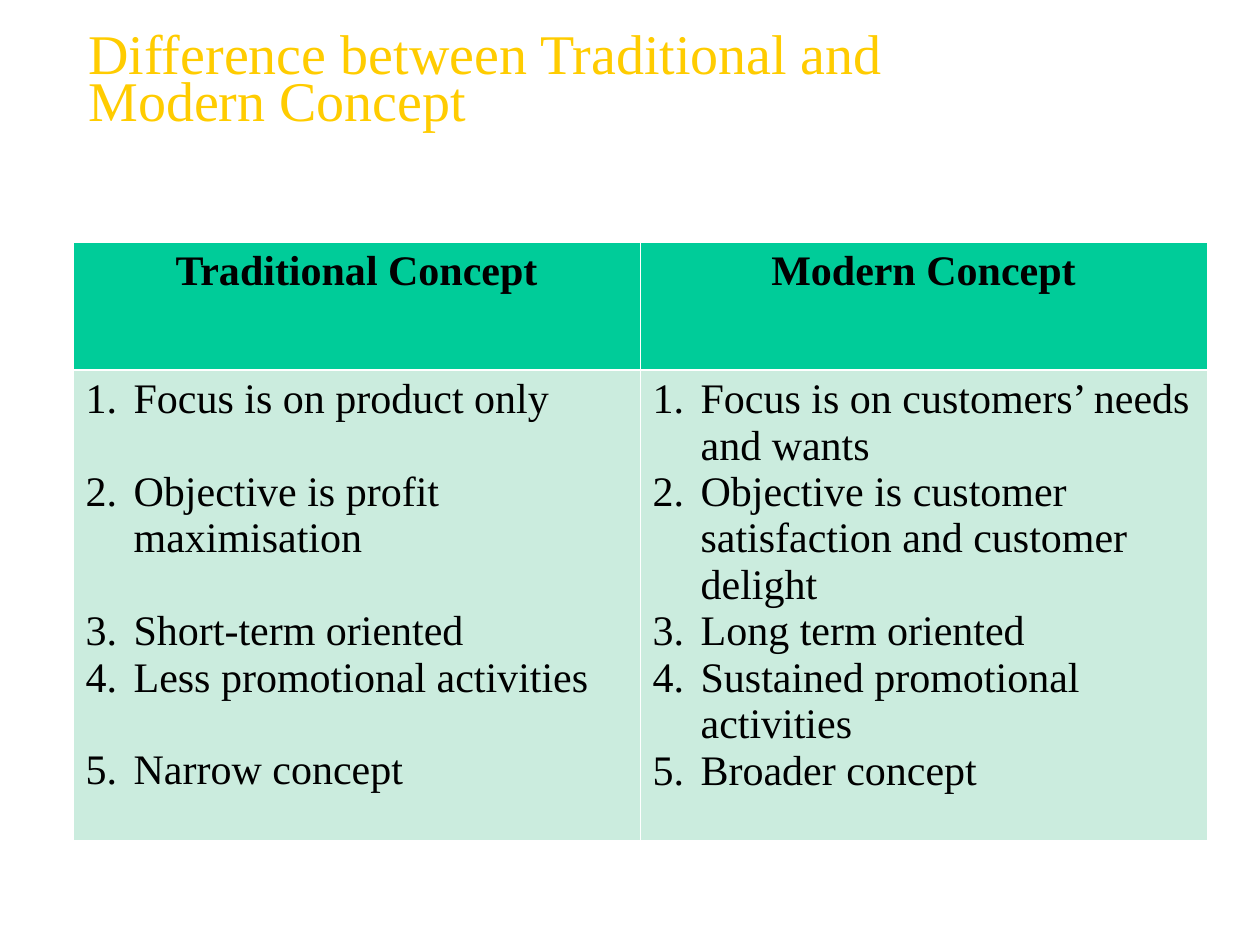
from dataclasses import dataclass

import pptx
import pptx.dml.color
import pptx.enum.text
import pptx.oxml
import pptx.oxml.ns
import pptx.util

EMU_PER_PX = 914400 / 126


@dataclass(frozen=True)
class Theme:
    font: str = "Times New Roman"
    title: str = "FFCC00"
    ink: str = "000000"
    header: str = "00CC99"
    body: str = "CBECDE"
    rule: str = "FFFFFF"
    title_size: int = 32
    table_size: int = 24
    skipped_line: float = 26.5
    thin: float = 0.45
    thick: float = 1.47


THEME = Theme()
CONCEPTS = {
    "Traditional Concept": [
        ("Focus is on product only", True),
        ("Objective is profit maximisation", True),
        ("Short-term oriented", False),
        ("Less promotional activities", True),
        ("Narrow concept", False),
    ],
    "Modern Concept": [
        ("Focus is on customers’ needs and wants", False),
        ("Objective is customer satisfaction and customer delight", False),
        ("Long term oriented", False),
        ("Sustained promotional activities", False),
        ("Broader concept", False),
    ],
}


def px(length):
    return pptx.util.Emu(round(length * EMU_PER_PX))


def rgb(color):
    return pptx.dml.color.RGBColor.from_string(color)


def add_xml(parent, markup):
    declaration = pptx.oxml.ns.nsdecls("a")
    parent.append(pptx.oxml.parse_xml(markup.replace(" ", f" {declaration} ", 1)))


def write(paragraph, text, *, size=THEME.table_size, color=THEME.ink, bold=False,
          align=pptx.enum.text.PP_ALIGN.LEFT, spacing=None, after=0,
          numbered=False, shadow=False):
    paragraph.alignment = align
    paragraph.line_spacing = spacing
    paragraph.space_after = pptx.util.Pt(after)
    if numbered:
        properties = paragraph._p.get_or_add_pPr()
        properties.set("marL", str(px(48)))
        properties.set("indent", str(-px(48)))
        add_xml(properties, f'<a:buClr ><a:srgbClr val="{color}"/></a:buClr>')
        add_xml(properties, f'<a:buFont typeface="{THEME.font}"/>')
        add_xml(properties, '<a:buAutoNum type="arabicPeriod"/>')
    run = paragraph.add_run()
    run.text = text
    run.font.size = pptx.util.Pt(size)
    run.font.bold = bold
    run.font.color.rgb = rgb(color)
    if shadow:
        add_xml(run._r.get_or_add_rPr(),
                '<a:effectLst ><a:outerShdw dist="25400" dir="2700000">'
                f'<a:srgbClr val="{THEME.ink}"/></a:outerShdw></a:effectLst>')
    run.font.name = THEME.font


def add_title(slide, text):
    frame = slide.shapes.add_textbox(px(76), px(5), px(921), px(158)).text_frame
    frame.word_wrap = True
    frame.vertical_anchor = pptx.enum.text.MSO_ANCHOR.MIDDLE
    write(frame.paragraphs[0], text, size=THEME.title_size, color=THEME.title,
          spacing=0.7, shadow=True)


def style_cell(cell, fill, thick_side):
    properties = cell._tc.get_or_add_tcPr()
    for side in "LRTB":
        width = THEME.thick if side == thick_side else THEME.thin
        add_xml(properties,
                f'<a:ln{side} w="{pptx.util.Pt(width)}"><a:solidFill>'
                f'<a:srgbClr val="{THEME.rule}"/></a:solidFill></a:ln{side}>')
    cell.fill.solid()
    cell.fill.fore_color.rgb = rgb(fill)


def add_points(cell, points):
    frame = cell.text_frame
    for index, (point, skip_line) in enumerate(points):
        paragraph = frame.add_paragraph() if index else frame.paragraphs[0]
        write(paragraph, point, numbered=True,
              after=THEME.skipped_line if skip_line else 0)


def add_comparison(slide, concepts):
    comparison = slide.shapes.add_table(
        2, len(concepts), px(73), px(242), px(1134), px(598)).table
    for row, height in zip(comparison.rows, (128, 470)):
        row.height = px(height)
    for column, (heading, points) in enumerate(concepts.items()):
        header, body = (comparison.cell(row, column) for row in range(2))
        style_cell(header, THEME.header, "B")
        style_cell(body, THEME.body, "T")
        write(header.text_frame.paragraphs[0], heading, bold=True,
              align=pptx.enum.text.PP_ALIGN.CENTER)
        add_points(body, points)


def main():
    deck = pptx.Presentation()
    deck.slide_width, deck.slide_height = px(1260), px(945)
    slide = deck.slides.add_slide(deck.slide_layouts[6])
    add_title(slide, "Difference between Traditional and Modern Concept")
    add_comparison(slide, CONCEPTS)
    deck.save("out.pptx")


if __name__ == "__main__":
    main()
